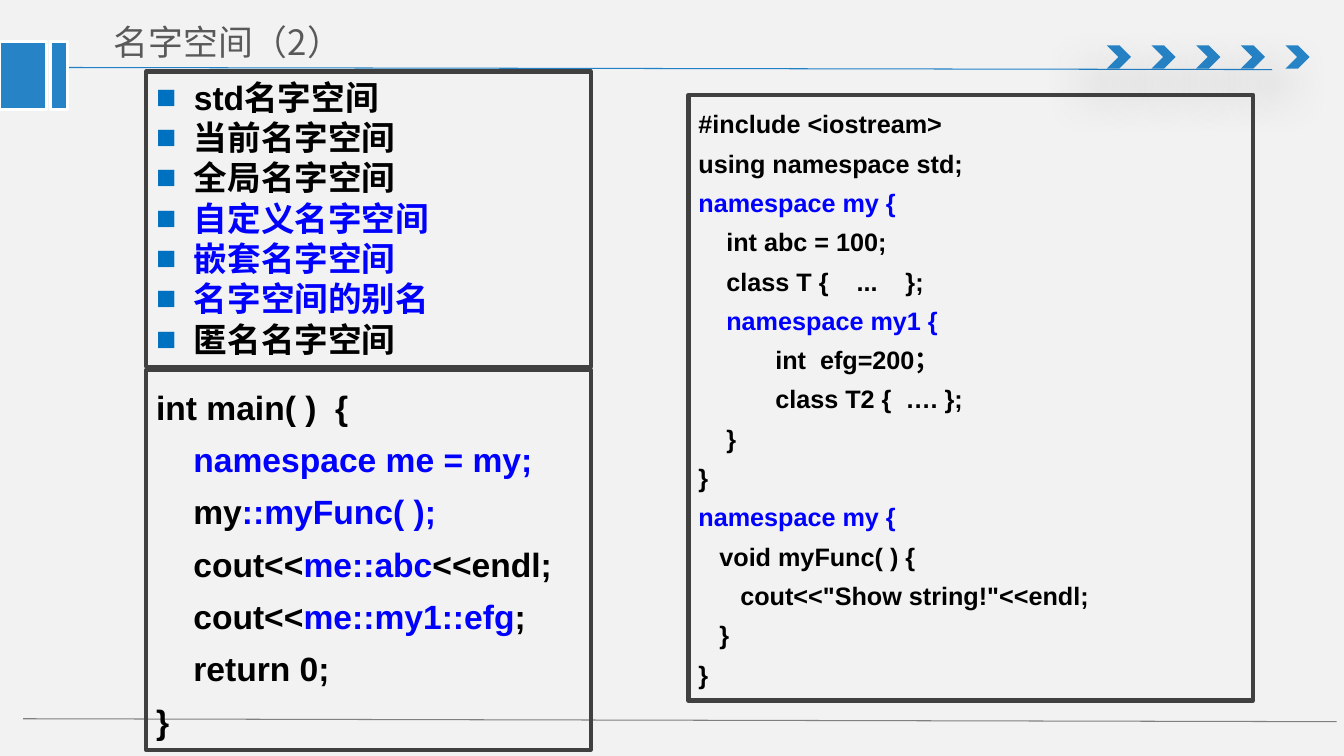
from dataclasses import dataclass
from typing import NamedTuple

from lxml.etree import SubElement as Sub
from pptx import Presentation
from pptx.dml.color import RGBColor as Rgb
from pptx.enum.shapes import MSO_CONNECTOR as Conn, MSO_SHAPE as Kind
from pptx.enum.text import MSO_ANCHOR as Anchor, MSO_AUTO_SIZE as Auto, PP_ALIGN as Align
from pptx.oxml.ns import qn
from pptx.util import Pt


@dataclass(frozen=True)
class Theme:
    back: str = "F2F2F2"
    blue: str = "2683C6"
    rule: str = "2181C6"
    foot: str = "808080"
    white: str = "FFFFFF"
    frame: str = "404040"
    title: str = "595959"
    ink: str = "000000"
    mark: str = "0000FF"
    bullet: str = "0070C0"
    latin: str = "Arial"
    asian: str = "Noto Sans CJK SC"
    head: float = 24.9
    large: float = 24
    small: float = 18


class Area(NamedTuple):
    left: float
    top: float
    width: float
    height: float


class Span(NamedTuple):
    text: str
    color: str


class Panel(NamedTuple):
    area: Area
    size: float
    pitch: float
    paras: list
    listed: bool = False


class Rule(NamedTuple):
    start: tuple
    end: tuple
    color: str


look = Theme()


def ink(text: str) -> Span:
    return Span(text, look.ink)


def mark(text: str) -> Span:
    return Span(text, look.mark)


def write(para, text: str, *, size: float, color: str, font: str, bold: bool = False) -> None:
    """Add text to a paragraph; a newline becomes a line break."""
    for i, line in enumerate(text.split("\n")):
        if i:
            para.add_line_break()
        if not line:
            continue
        run = para.add_run()
        run.text = line
        run.font.size, run.font.bold, run.font.name = Pt(size), bold, font
        run.font.color.rgb = Rgb.from_string(color)
        Sub(run.font._element, qn("a:ea"), typeface=look.asian)


def shape(slide, kind, area: Area, fill: str = "", line: str = "", width: float = 0):
    item = slide.shapes.add_shape(kind, *map(Pt, area))
    item.shadow.inherit = False
    if fill:
        item.fill.solid()
        item.fill.fore_color.rgb = Rgb.from_string(fill)
    else:
        item.fill.background()
    if line:
        item.line.color.rgb = Rgb.from_string(line)
        item.line.width = Pt(width)
    else:
        item.line.fill.background()
    return item


def shade(item) -> None:
    """Cast a soft shadow below a shape."""
    effect = item._element.spPr.find(qn("a:effectLst"))
    outer = Sub(effect, qn("a:outerShdw"), blurRad=str(Pt(36)), dist=str(Pt(24)),
                dir=str(130 * 60000), rotWithShape="0")
    color = Sub(outer, qn("a:srgbClr"), val=look.ink)
    Sub(color, qn("a:alpha"), val="38000")


def stroke(slide, rule: Rule) -> None:
    item = slide.shapes.add_connector(Conn.STRAIGHT, *map(Pt, rule.start + rule.end))
    item.line.color.rgb = Rgb.from_string(rule.color)
    item.line.width = Pt(0.75)
    Sub(item._element.spPr, qn("a:effectLst"))


def bullet(para) -> None:
    props = para._p.get_or_add_pPr()
    props.set("marL", str(Pt(27)))
    props.set("indent", str(Pt(-27)))
    Sub(Sub(props, qn("a:buClr")), qn("a:srgbClr"), val=look.bullet)
    Sub(props, qn("a:buFont"), typeface=look.latin)
    Sub(props, qn("a:buChar"), char="■")


def board(slide, panel: Panel) -> None:
    item = shape(slide, Kind.RECTANGLE, panel.area, line=look.frame, width=3)
    frame = item.text_frame
    frame.word_wrap, frame.auto_size = True, Auto.NONE
    frame.vertical_anchor = Anchor.TOP
    for i, spans in enumerate(panel.paras):
        para = frame.add_paragraph() if i else frame.paragraphs[0]
        para.alignment, para.line_spacing = Align.LEFT, Pt(panel.pitch)
        if panel.listed:
            bullet(para)
        for span in spans:
            write(para, span.text, size=panel.size, color=span.color,
                  font=look.latin, bold=True)


def title(slide, text: str) -> None:
    item = slide.shapes.title
    item.left, item.top, item.width, item.height = map(Pt, (71.3, 10.1, 333.4, 39.6))
    frame = item.text_frame
    frame.word_wrap, frame.auto_size = True, Auto.NONE
    frame.vertical_anchor = Anchor.MIDDLE
    frame.margin_left = frame.margin_right = Pt(10)
    frame.margin_top = frame.margin_bottom = Pt(5)
    para = frame.paragraphs[0]
    para.alignment = Align.LEFT
    write(para, text, size=look.head, color=look.title, font=look.asian)


RULES = [
    Rule((38.2, 48.2), (908.6, 49.7), look.rule),
    Rule((16.6, 513.4), (954.7, 515.5), look.foot),
]
TABS = [Area(0, 29.5, 33.1, 49), Area(36, 29.5, 12.2, 49)]

PANELS = [
    Panel(Area(104.4, 51.1, 317.5, 211), look.large, 28.8, [
        [ink("std名字空间")],
        [ink("当前名字空间")],
        [ink("全局名字空间")],
        [mark("自定义名字空间")],
        [mark("嵌套名字空间")],
        [mark("名字空间的别名")],
        [ink("匿名名字空间")],
    ], listed=True),
    Panel(Area(491.8, 67.7, 403.2, 432.7), look.small, 28.05, [
        [ink("#include <iostream>\nusing namespace std;\n"),
         mark("namespace my {\n"), ink("    int abc = 100;")],
        [ink("    class T {    ...    };\n"), mark("    namespace my1 {")],
        [ink("           int  efg=200；")],
        [ink("           class T2 {  …. };")],
        [ink("    }\n}\n"), mark("namespace my {")],
        [ink("   void myFunc( ) {")],
        [ink("      cout<<\"Show string!\"<<endl;\n   }\n}")],
    ]),
    Panel(Area(104.4, 264.2, 317.5, 271.4), look.large, 37.35, [
        [ink("int main( )  {")],
        [ink("    "), mark("namespace me = my;")],
        [ink("    my"), mark("::myFunc( );")],
        [ink("    cout<<"), mark("me::abc"), ink("<<endl;")],
        [ink("    cout<<"), mark("me::my1::efg"), ink(";")],
        [ink("    return 0;")],
        [ink("}")],
    ]),
]


def main() -> None:
    deck = Presentation()
    deck.slide_width, deck.slide_height = Pt(960), Pt(540)
    slide = deck.slides.add_slide(deck.slide_layouts[5])
    slide.background.fill.solid()
    slide.background.fill.fore_color.rgb = Rgb.from_string(look.back)

    # Rules, chevrons and side tabs
    for rule in RULES:
        stroke(slide, rule)
    for i in range(5):
        shade(shape(slide, Kind.CHEVRON, Area(790.6 + 31.9 * i, 32.4, 17.3, 16.6), look.blue))
    for area in TABS:
        shape(slide, Kind.RECTANGLE, area, look.blue, look.white, 2)

    # Title and panels
    title(slide, "名字空间（2）")
    for panel in PANELS:
        board(slide, panel)
    deck.save("out.pptx")


if __name__ == "__main__":
    main()
